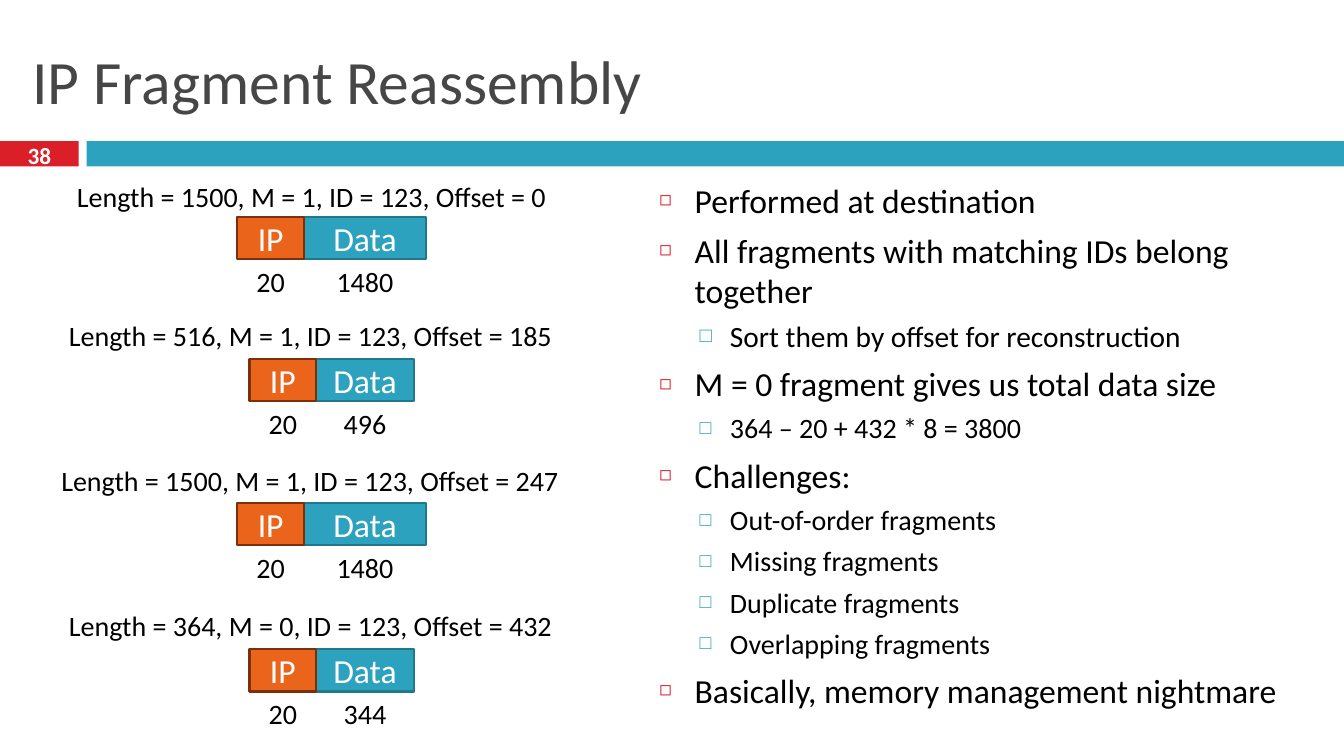
import pptx
import pptx.util
import pptx.dml.color
import pptx.enum.shapes
import pptx.enum.text
import pptx.oxml
import pptx.oxml.ns

Inches = pptx.util.Inches
Pt = pptx.util.Pt
ALIGN = pptx.enum.text.PP_ALIGN
ANCHOR = pptx.enum.text.MSO_ANCHOR
FONT = "Calibri"
COLORS = {
    "red": "DA1F28", "teal": "2DA2BF", "teal_edge": "21788D",
    "orange": "EB641B", "orange_edge": "78310B",
    "title": "464646", "black": "000000", "white": "FFFFFF",
}

BAR_CENTER = 3.29
BAR_HEIGHT = 0.42
IP_WIDTH = 0.66
TEXT_HEIGHT = 0.44

FRAGMENTS = [
    ("Length = 1500, M = 1, ID = 123, Offset = 0", 5.25, 1.73, 2.15, 1.21, "1480"),
    ("Length = 516, M = 1, ID = 123, Offset = 185", 5.41, 3.11, 3.56, 0.97, "496"),
    ("Length = 1500, M = 1, ID = 123, Offset = 247", 5.56, 4.55, 4.99, 1.21, "1480"),
    ("Length = 364, M = 0, ID = 123, Offset = 432", 5.41, 5.99, 6.44, 0.97, "344"),
]

POINTS = [
    (0, "Performed at destination", 24),
    (0, "All fragments with matching IDs belong together", 24),
    (1, "Sort them by offset for reconstruction", 21),
    (0, "M = 0 fragment gives us total data size", 24),
    (1, "364 – 20 + 432 * 8 = 3800", 20),
    (0, "Challenges:", 24),
    (1, "Out-of-order fragments", 20),
    (1, "Missing fragments", 20),
    (1, "Duplicate fragments", 20),
    (1, "Overlapping fragments", 20),
    (0, "Basically, memory management nightmare", 24),
]

LEVELS = [
    {"margin": 0.35, "indent": -0.35, "before": 7, "char": "◻", "color": "red", "size": 60},
    {"margin": 0.7, "indent": -0.3, "before": 5.5, "char": "□", "color": "teal", "size": 70},
]


def rgb(name):
    return pptx.dml.color.RGBColor.from_string(COLORS[name])


def place(sp, left, top, width, height):
    sp.left, sp.top = Inches(left), Inches(top)
    sp.width, sp.height = Inches(width), Inches(height)


def add_run(p, text, size, color, bold=False):
    r = p.add_run()
    r.text = text
    r.font.name = FONT
    r.font.size = Pt(size)
    r.font.bold = bold
    r.font.color.rgb = rgb(color)


def add_text(shapes, text, left, top, width, height=TEXT_HEIGHT, size=20,
             color="black", align=ALIGN.CENTER, anchor=ANCHOR.TOP, bold=False):
    sp = shapes.add_textbox(Inches(left), Inches(top), Inches(width), Inches(height))
    tf = sp.text_frame
    tf.word_wrap = True
    tf.vertical_anchor = anchor
    p = tf.paragraphs[0]
    p.alignment = align
    add_run(p, text, size, color, bold)


def add_box(shapes, left, top, width, height, fill, edge=None, text=None):
    sp = shapes.add_shape(pptx.enum.shapes.MSO_SHAPE.RECTANGLE,
                          Inches(left), Inches(top), Inches(width), Inches(height))
    sp.shadow.inherit = False
    sp.fill.solid()
    sp.fill.fore_color.rgb = rgb(fill)
    if edge:
        sp.line.color.rgb = rgb(edge)
        sp.line.width = Pt(1.5)
    else:
        sp.line.fill.background()
    if text:
        tf = sp.text_frame
        tf.vertical_anchor = ANCHOR.MIDDLE
        p = tf.paragraphs[0]
        p.alignment = ALIGN.CENTER
        add_run(p, text, 24, "white")


def add_fragment(s, label, label_width, label_top, bar_top, data_width, data_size):
    add_text(s.shapes, label, BAR_CENTER - label_width / 2, label_top, label_width,
             align=ALIGN.LEFT)
    ip_left = BAR_CENTER - (IP_WIDTH + data_width) / 2
    data_left = ip_left + IP_WIDTH
    size_top = bar_top + BAR_HEIGHT
    shapes = s.shapes.add_group_shape().shapes
    add_box(shapes, data_left, bar_top, data_width, BAR_HEIGHT, "teal", "teal_edge", "Data")
    add_box(shapes, ip_left, bar_top, IP_WIDTH, BAR_HEIGHT, "orange", "orange_edge", "IP")
    add_text(shapes, "20", ip_left, size_top, IP_WIDTH)
    add_text(shapes, data_size, data_left, size_top, data_width)


def set_bullet(p, level):
    pPr = p._p.get_or_add_pPr()
    pPr.set("marL", str(Inches(level["margin"])))
    pPr.set("indent", str(Inches(level["indent"])))
    ns = pptx.oxml.ns.nsdecls("a")
    for xml in (
        f'<a:buClr {ns}><a:srgbClr val="{COLORS[level["color"]]}"/></a:buClr>',
        f'<a:buSzPct {ns} val="{level["size"] * 1000}"/>',
        f'<a:buChar {ns} char="{level["char"]}"/>',
    ):
        pPr.append(pptx.oxml.parse_xml(xml))


def fill_title(sp):
    place(sp, 0.22, 0.25, 12.89, 1.08)
    tf = sp.text_frame
    tf.auto_size = pptx.enum.text.MSO_AUTO_SIZE.NONE
    tf.vertical_anchor = ANCHOR.MIDDLE
    p = tf.paragraphs[0]
    p.alignment = ALIGN.LEFT
    add_run(p, "IP Fragment Reassembly", 44, "title")


def fill_body(sp):
    place(sp, 6.44, 1.73, 6.38, 5.6)
    tf = sp.text_frame
    tf.auto_size = pptx.enum.text.MSO_AUTO_SIZE.NONE
    for i, (depth, text, size) in enumerate(POINTS):
        p = tf.add_paragraph() if i else tf.paragraphs[0]
        p.level = depth
        set_bullet(p, LEVELS[depth])
        p.space_before = Pt(LEVELS[depth]["before"] if i else 0)
        add_run(p, text, size, "black")


def main():
    prs = pptx.Presentation()
    prs.slide_width, prs.slide_height = Inches(13.33), Inches(7.5)
    s = prs.slides.add_slide(prs.slide_layouts[1])
    fill_title(s.shapes.title)
    fill_body(s.placeholders[1])
    add_box(s.shapes, 0, 1.4, 0.78, 0.25, "red")
    add_box(s.shapes, 0.86, 1.4, 12.47, 0.25, "teal")
    add_text(s.shapes, "38", 0, 1.37, 0.78, 0.33, size=16.6, color="white",
             anchor=ANCHOR.MIDDLE, bold=True)
    for fragment in FRAGMENTS:
        add_fragment(s, *fragment)
    prs.save("out.pptx")


if __name__ == "__main__":
    main()
